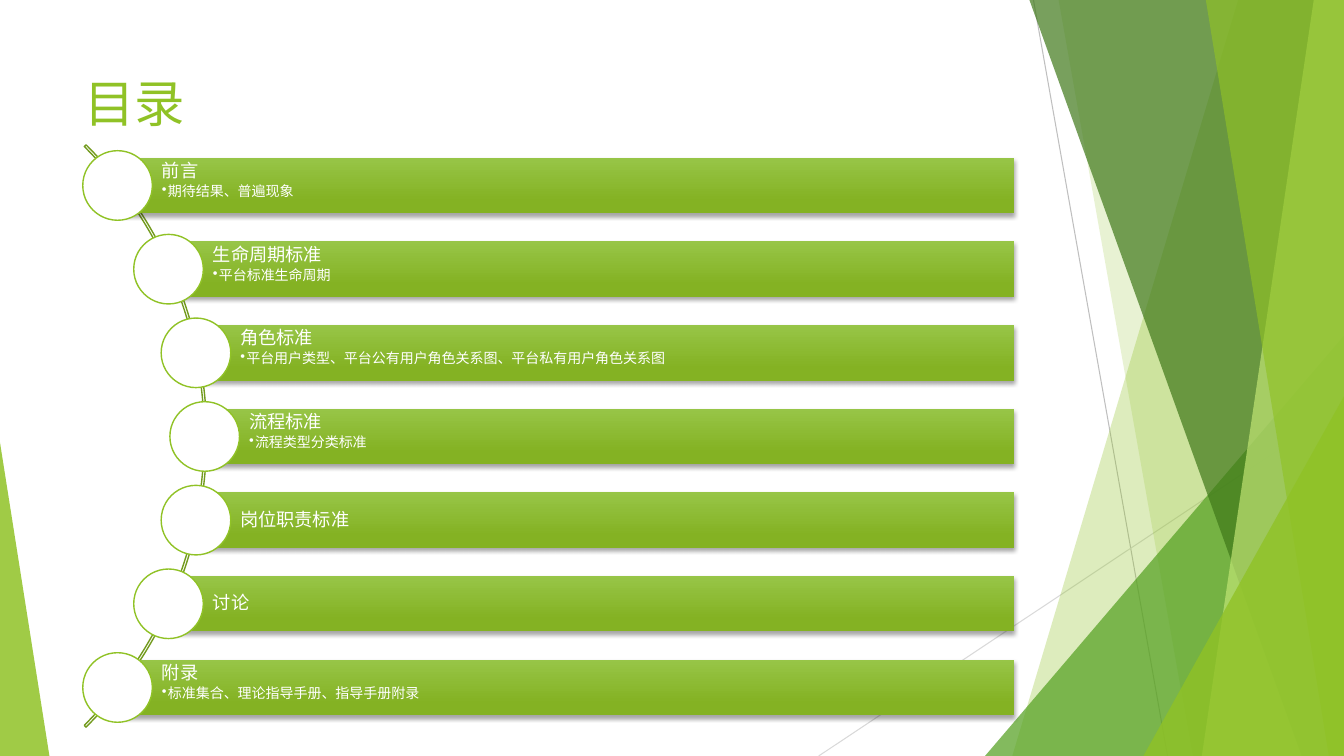
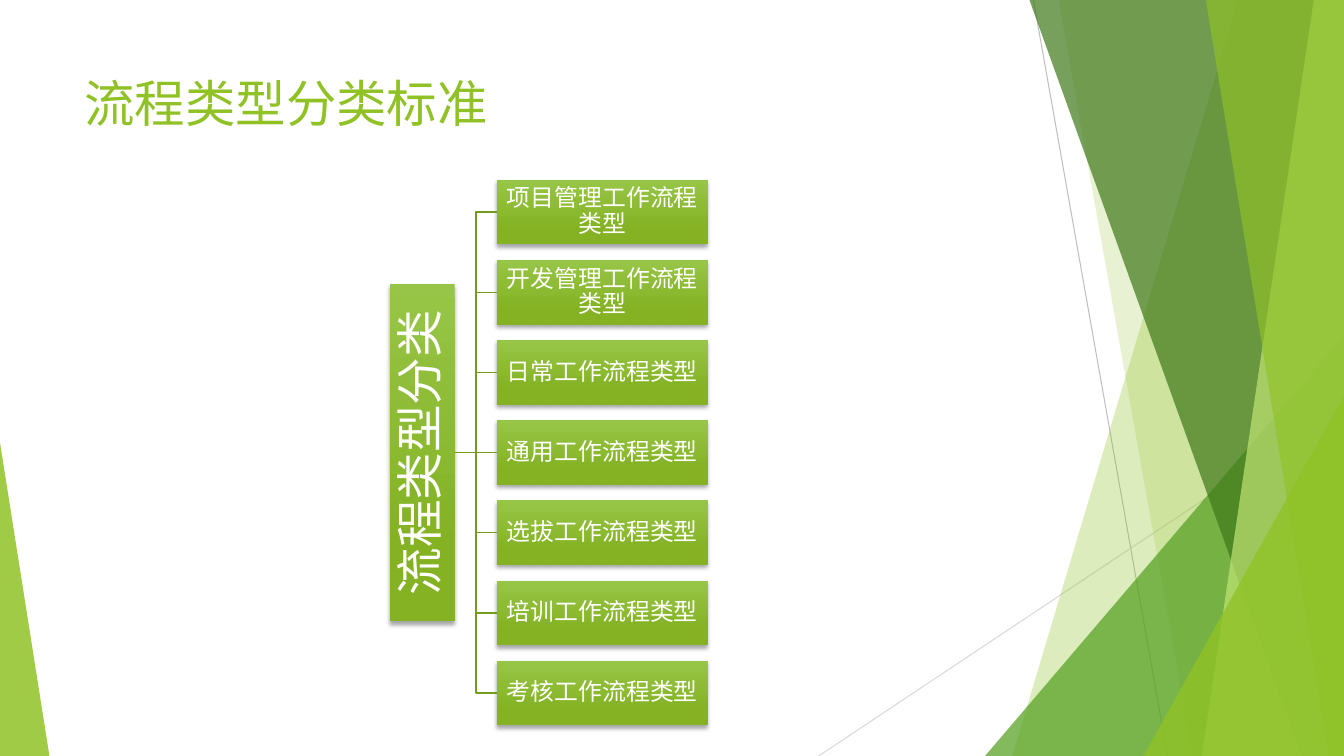
import dataclasses

import lxml.etree
import pptx
import pptx.dml.color
import pptx.enum.shapes
import pptx.enum.text
import pptx.oxml.ns
import pptx.util

AGENDA = [
    ("前言", "期待结果、普遍现象"),
    ("生命周期标准", "平台标准生命周期"),
    ("角色标准", "平台用户类型、平台公有用户角色关系图、平台私有用户角色关系图"),
    ("流程标准", "流程类型分类标准"),
    ("岗位职责标准", None),
    ("讨论", None),
    ("附录", "标准集合、理论指导手册、指导手册附录"),
]
FLOWS = ("流程类型分类", [
    "项目管理工作流程类型",
    "开发管理工作流程类型",
    "日常工作流程类型",
    "通用工作流程类型",
    "选拔工作流程类型",
    "培训工作流程类型",
    "考核工作流程类型",
])


@dataclasses.dataclass(frozen=True)
class Theme:
    font: str = "Karla"
    white: str = "FFFFFF"
    lime: str = "90C226"
    leaf: str = "54A021"
    forest: str = "3F7819"
    pale: str = "C0E474"
    stroke: str = "739B1E"
    shade: str = "000000"
    blend: tuple = ((0, "97C547"), (0.78, "84B223"))
    title: int = 36
    root: int = 34
    branch: int = 17
    head: int = 13
    note: int = 10


THEME = Theme()
WIDE, HIGH = 13.33, 7.5

RAYS = [((10.25, 0), (11.58, HIGH), "BFBFBF"),
        ((WIDE, 4.03), (8.12, HIGH), "D9D9D9")]
# Bands run from a top x and a bottom x to the right edge of the slide;
# wedges are a box and the side of their apex.
FACETS = [
    ("band", (12.28, 10.04), THEME.lime, 30),
    ("band", (10.5, 11.83), THEME.lime, 20),
    ("wedge", (9.77, 3.33, 3.56, 4.17, 1), THEME.leaf, 72),
    ("band", (10.21, 12.91), THEME.forest, 70),
    ("band", (13.03, 11.92), THEME.pale, 70),
    ("band", (11.96, 13.18), THEME.lime, 65),
    ("wedge", (11.34, 3.93, 1.99, 3.57, 1), THEME.lime, 80),
    ("wedge", (0, 4.39, 0.49, 3.11, 0), THEME.lime, 85),
]

inch = pptx.util.Inches
point = pptx.util.Pt
qn = pptx.oxml.ns.qn
KIND = pptx.enum.shapes.MSO_SHAPE
JOINT = pptx.enum.shapes.MSO_CONNECTOR
ALIGN = pptx.enum.text.PP_ALIGN
ANCHOR = pptx.enum.text.MSO_ANCHOR


def style(target, **values):
    for name, value in values.items():
        setattr(target, name, value)


def color(code):
    return pptx.dml.color.RGBColor.from_string(code)


def node(parent, tag, **values):
    return lxml.etree.SubElement(
        parent, qn(tag), {name: str(value) for name, value in values.items()})


def ink(shape, code, alpha=100):
    """Fill with one colour, see-through when alpha is under 100."""
    shape.fill.solid()
    shape.fill.fore_color.rgb = color(code)
    if alpha < 100:
        tint = shape.element.spPr.find(".//" + qn("a:srgbClr"))
        node(tint, "a:alpha", val=alpha * 1000)


def edge(shape, code, width=1):
    shape.line.color.rgb = color(code)
    shape.line.width = point(width)


def place(slide, kind, left, top, width, height):
    shape = slide.shapes.add_shape(
        kind, inch(left), inch(top), inch(width), inch(height))
    shape.shadow.inherit = False
    return shape


def link(slide, kind, start, end, code, width):
    line = slide.shapes.add_connector(
        kind, *(inch(value) for value in (*start, *end)))
    edge(line, code, width)
    node(line.element.spPr, "a:effectLst")
    return line


def panel(slide, *box):
    """Add a green blended box with a soft shadow."""
    shape = place(slide, KIND.RECTANGLE, *box)
    shape.line.fill.background()
    shape.fill.gradient()
    shape.fill.gradient_angle = 270
    for stop, (spot, code) in zip(shape.fill.gradient_stops, THEME.blend):
        stop.position = spot
        stop.color.rgb = color(code)
    glow = node(shape.element.spPr.find(qn("a:effectLst")), "a:outerShdw",
                blurRad=point(3), dist=point(2), dir=90 * 60000,
                algn="ctr", rotWithShape=0)
    tint = node(glow, "a:srgbClr", val=THEME.shade)
    node(tint, "a:alpha", val=35000)
    return shape


def write(shape, lines, inset, code=THEME.white, **values):
    """Write (text, size, format, bullet indent) lines, inset on four sides."""
    frame = shape.text_frame
    sides = ("margin_left", "margin_top", "margin_right", "margin_bottom")
    style(frame, word_wrap=True, **dict(zip(sides, map(inch, inset))), **values)
    for row, (text, size, shape_by, indent) in enumerate(lines):
        para = frame.add_paragraph() if row else frame.paragraphs[0]
        if indent:
            props = para._p.get_or_add_pPr()
            style_by = {"marL": inch(indent), "indent": -inch(indent)}
            for name, value in style_by.items():
                props.set(name, str(value))
            node(props, "a:buChar", char="•")
        style(para, **shape_by)
        run = para.add_run()
        run.text = text
        style(run.font, name=THEME.font, size=point(size))
        run.font.color.rgb = color(code)


def facet(slide, kind, form, code, alpha):
    if kind == "band":
        top, base = form
        spots = [(inch(x), inch(y)) for x, y in
                 ((top, 0), (WIDE, 0), (WIDE, HIGH), (base, HIGH))]
        pen = slide.shapes.build_freeform(*spots[0], scale=1.0)
        pen.add_line_segments(spots[1:], close=True)
        shape = pen.convert_to_shape()
        shape.shadow.inherit = False
    else:
        *box, apex = form
        shape = place(slide, KIND.ISOSCELES_TRIANGLE, *box)
        shape.adjustments[0] = apex
    ink(shape, code, alpha)
    shape.line.fill.background()


def start(deck, title):
    """Add a slide with the shared backdrop and a title."""
    slide = deck.slides.add_slide(deck.slide_layouts[6])
    for head, tail, code in RAYS:
        link(slide, JOINT.STRAIGHT, head, tail, code, 0.75)
    for item in FACETS:
        facet(slide, *item)
    box = slide.shapes.add_textbox(
        *(inch(value) for value in (0.74, 0.67, 9.4, 1.44)))
    write(box, [(title, THEME.title, {}, 0)], (0.1, 0.05, 0.1, 0.05),
          THEME.lime, vertical_anchor=ANCHOR.TOP)
    return slide


def agenda(deck):
    slide = start(deck, "目录")
    mid, pitch, tall, ball = 4.33, 0.83, 0.55, 0.69
    bend, peak, right = 4.02, 2.03, 10.06
    arc = place(slide, KIND.BLOCK_ARC, -6.12, 0.24, 8.17, 8.17)
    for spot, value in enumerate((189, 27, 0.003)):
        arc.adjustments[spot] = value
    arc.fill.background()
    edge(arc, THEME.stroke)

    base = dict(alignment=ALIGN.LEFT, line_spacing=0.9)
    for row, (head, note) in enumerate(AGENDA):
        rise = (row - len(AGENDA) // 2) * pitch
        x = peak - bend + (bend ** 2 - rise ** 2) ** 0.5
        y = mid + rise
        bar = panel(slide, x, y - tall / 2, right - x, tall)
        lines = [(head, THEME.head, base, 0)]
        if note:
            lines[0] = (head, THEME.head, {**base, "space_after": point(2)}, 0)
            lines.append((note, THEME.note, {**base, "level": 1}, 0.06))
        write(bar, lines, (0.44, 0.04, 0.04, 0.04),
              vertical_anchor=ANCHOR.TOP if note else ANCHOR.MIDDLE)
        disc = place(slide, KIND.OVAL, x - ball / 2, y - ball / 2, ball, ball)
        ink(disc, THEME.white)
        edge(disc, THEME.lime)


def flows(deck):
    slide = start(deck, "流程类型分类标准")
    mid, pitch, tall = 4.49, 0.795, 0.64
    label, names = FLOWS
    form = dict(alignment=ALIGN.CENTER, line_spacing=0.9)
    root = panel(slide, 3.87, mid - 3.35 / 2, tall, 3.35)
    write(root, [(label, THEME.root, form, 0)], (0.02,) * 4,
          vertical_anchor=ANCHOR.MIDDLE)
    root.text_frame._txBody.bodyPr.set("vert", "vert270")
    half = len(names) // 2
    for row, name in enumerate(names):
        y = mid + (row - half) * pitch
        box = panel(slide, 4.93, y - tall / 2, 2.09, tall)
        write(box, [(name, THEME.branch, form, 0)], (0.01,) * 4,
              vertical_anchor=ANCHOR.MIDDLE)
        kind = JOINT.STRAIGHT if row == half else JOINT.ELBOW
        line = link(slide, kind, (4.51, mid), (4.93, y), THEME.stroke, 1)
        line.begin_connect(root, 3)
        line.end_connect(box, 1)


def main():
    deck = pptx.Presentation()
    style(deck, slide_width=inch(WIDE), slide_height=inch(HIGH))
    agenda(deck)
    flows(deck)
    deck.save("out.pptx")


if __name__ == "__main__":
    main()
